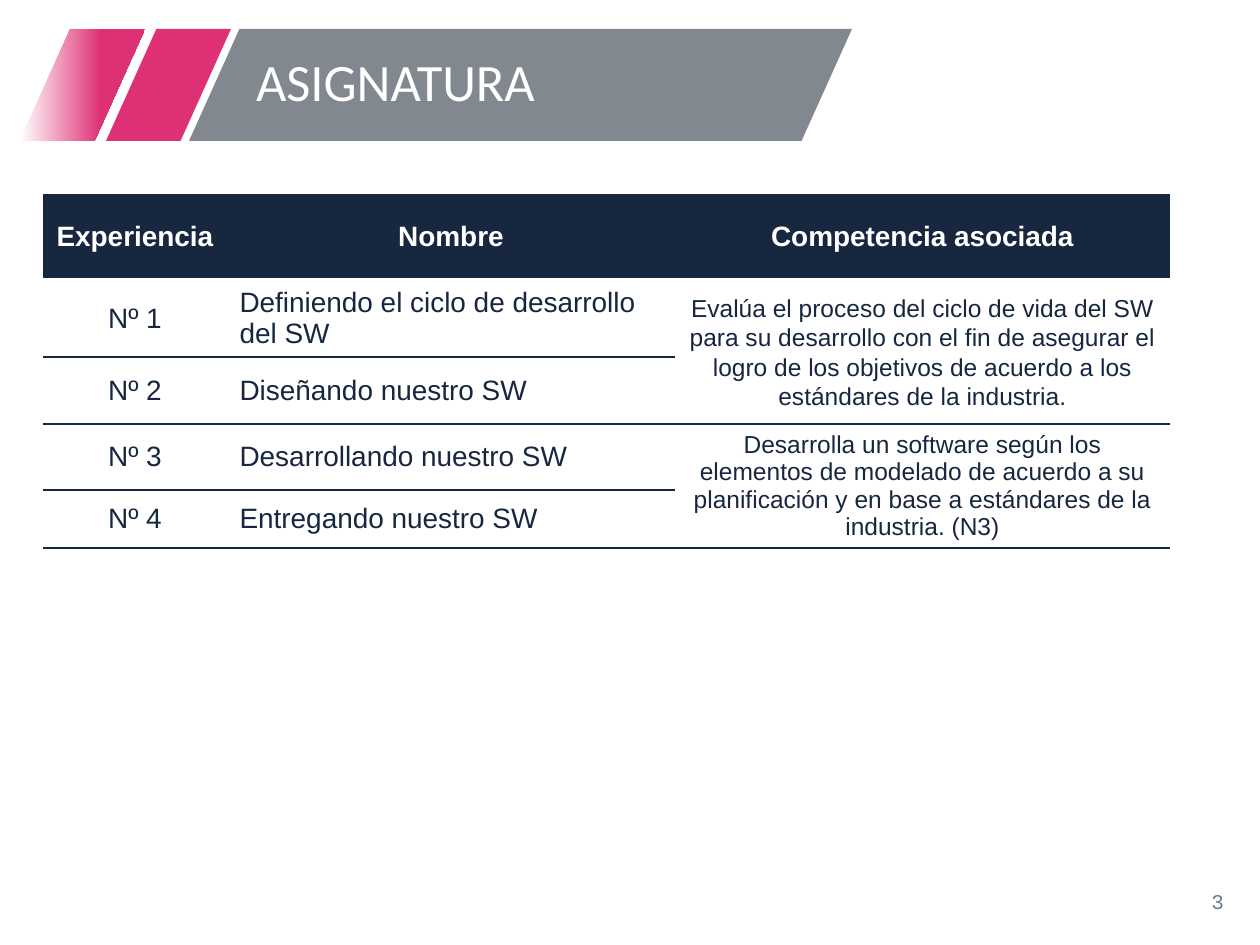
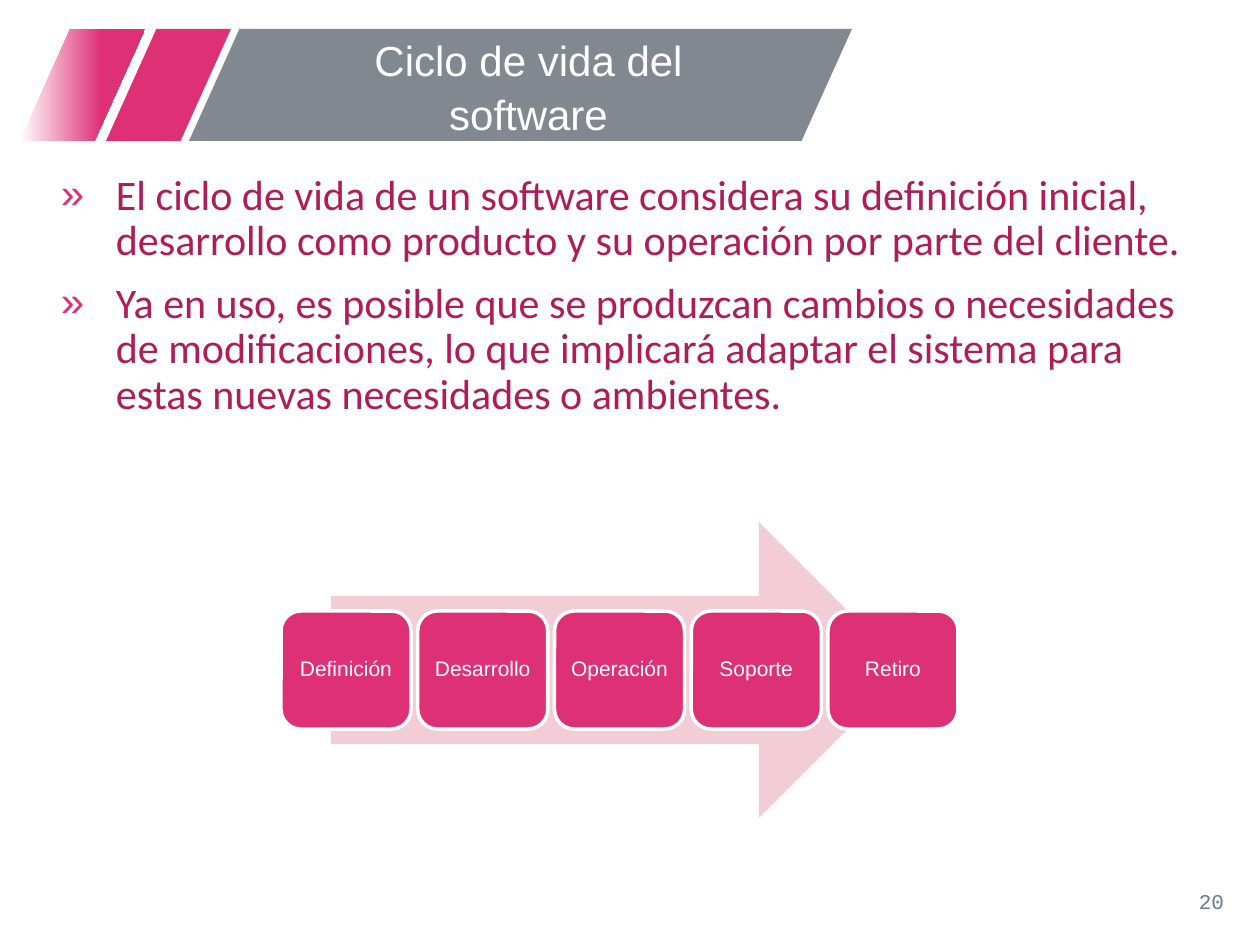
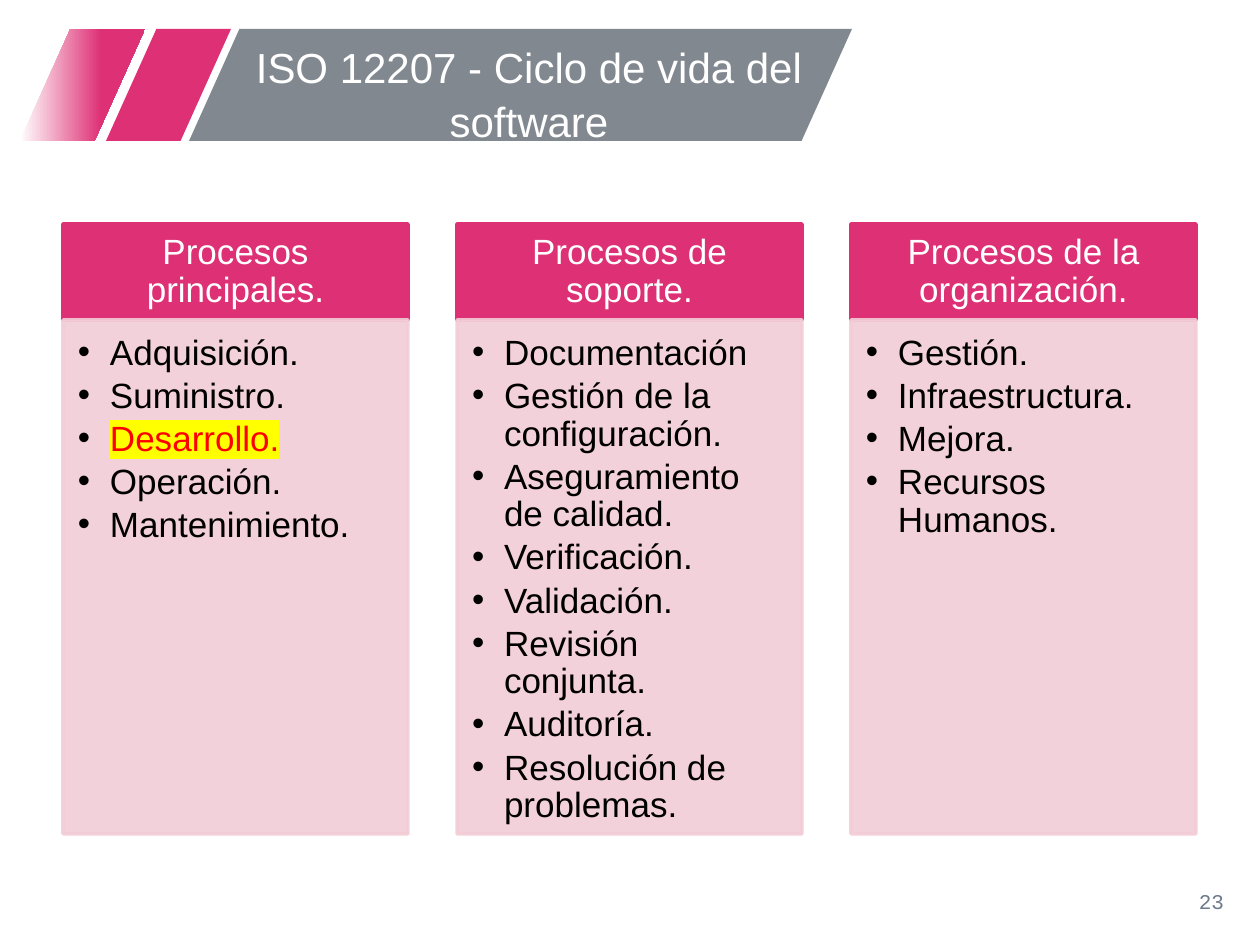
from lxml import etree
from pptx import Presentation
from pptx.dml.color import RGBColor
from pptx.enum.shapes import MSO_SHAPE
from pptx.enum.text import MSO_ANCHOR, MSO_AUTO_SIZE, PP_ALIGN
from pptx.oxml.ns import qn
from pptx.util import Pt

SLANT, ARROW = MSO_SHAPE.PARALLELOGRAM, MSO_SHAPE.RIGHT_ARROW
RECT, ROUND = MSO_SHAPE.RECTANGLE, MSO_SHAPE.ROUNDED_RECTANGLE
TOP, MID = MSO_ANCHOR.TOP, MSO_ANCHOR.MIDDLE
LEFT, MIDDLE, RIGHT = PP_ALIGN.LEFT, PP_ALIGN.CENTER, PP_ALIGN.RIGHT
FIXED = MSO_AUTO_SIZE.NONE
PX = 914400 / 126
NO_STYLE = "{2D5ABB26-0587-4C30-8999-92F81FD0307C}"

HEX = {
    "pink": "DE3075", "pale": "F2CDD6", "wine": "AF1C56", "gray": "81888F",
    "slate": "6C7A8A", "navy": "172740", "white": "FFFFFF", "black": "000000",
    "red": "FF0000", "yellow": "FFFF00",
}

BANDS = [(106, 125, "pink"), (20, 125, None), (189, 663, "gray")]

TITLES = [
    {"text": "ASIGNATURA", "page": "3", "box": (243, 29, 563, 112),
     "anchor": MID, "align": LEFT, "space": 0.9, "size": 30, "name": "Calibri"},
    {"text": "Ciclo de vida del software", "page": "20", "box": (281, 26, 495, 115),
     "anchor": TOP, "align": MIDDLE, "space": 1.06, "size": 24, "name": "Arial"},
    {"text": "ISO 12207 - Ciclo de vida del software", "page": "23",
     "box": (209, 33, 640, 115),
     "anchor": TOP, "align": MIDDLE, "space": 1.06, "size": 24, "name": "Arial"},
]

HEADS = ["Experiencia", "Nombre", "Competencia asociada"]
UNITS = [
    ("Nº 1", "Definiendo el ciclo de desarrollo del SW"),
    ("Nº 2", "Diseñando nuestro SW"),
    ("Nº 3", "Desarrollando nuestro SW"),
    ("Nº 4", "Entregando nuestro SW"),
]
SKILLS = [
    (1, 1.07, "Evalúa el proceso del ciclo de vida del SW para su desarrollo con el "
     "fin de asegurar el logro de los objetivos de acuerdo a los estándares de la "
     "industria."),
    (3, 1.0, "Desarrolla un software según los elementos de modelado de acuerdo a su "
     "planificación y en base a estándares de la industria. (N3)"),
]
COLS = [184, 448, 495]
ROWS = [86, 77, 67, 66, 58]

POINTS = [
    "El ciclo de vida de un software considera su definición inicial, desarrollo "
    "como producto y su operación por parte del cliente.",
    "Ya en uso, es posible que se produzcan cambios o necesidades de "
    "modificaciones, lo que implicará adaptar el sistema para estas nuevas "
    "necesidades o ambientes.",
]
STEPS = ["Definición", "Desarrollo", "Operación", "Soporte", "Retiro"]

GROUPS = {
    "Procesos principales.": [
        "Adquisición.", "Suministro.", "Desarrollo.", "Operación.", "Mantenimiento."],
    "Procesos de soporte.": [
        "Documentación", "Gestión de la configuración.",
        "Aseguramiento de calidad.", "Verificación.", "Validación.",
        "Revisión conjunta.", "Auditoría.", "Resolución de problemas."],
    "Procesos de la organización.": [
        "Gestión.", "Infraestructura.", "Mejora.", "Recursos Humanos."],
}
MARKED = "Desarrollo."


def emu(px):
    return round(px * PX)


def rgb(name):
    return RGBColor.from_string(HEX[name])


def put(obj, **vals):
    for key, val in vals.items():
        setattr(obj, key, val)


def sub(node, tag, **vals):
    return etree.SubElement(node, qn(tag), {k: str(v) for k, v in vals.items()})


def tint(node, name):
    return sub(node, "a:srgbClr", val=HEX[name])


def bullet(para, mark, color, left, hang):
    props = para._p.get_or_add_pPr()
    props.set("marL", str(emu(left)))
    props.set("indent", str(-emu(hang)))
    tint(sub(props, "a:buClr"), color)
    sub(props, "a:buFont", typeface="Arial")
    sub(props, "a:buChar", char=mark)


def write(frame, texts, size, color, name="Arial", align=LEFT, space=1.0,
          gap=0, after=0, bold=False, mark=None):
    for i, text in enumerate(texts):
        para = frame.add_paragraph() if i else frame.paragraphs[0]
        if mark:
            bullet(para, *mark)
        put(para, alignment=align, line_spacing=space,
            space_before=Pt(gap if i else 0), space_after=Pt(after))
        run = para.add_run()
        run.text = text
        put(run.font, size=Pt(size), name=name, bold=bold)
        run.font.color.rgb = rgb(color)


def inset(frame, anchor, sides):
    left, top, right, bottom = map(emu, sides)
    put(frame, word_wrap=True, auto_size=FIXED, vertical_anchor=anchor,
        margin_left=left, margin_top=top, margin_right=right, margin_bottom=bottom)
    return frame


def shape(slide, kind, box, fill, line=None):
    item = slide.shapes.add_shape(kind, *map(emu, box))
    item.shadow.inherit = False
    if fill:
        item.fill.solid()
        item.fill.fore_color.rgb = rgb(fill)
    if line:
        item.line.color.rgb = rgb(line)
        item.line.width = Pt(2)
    else:
        item.line.fill.background()
    return item


def textbox(slide, box, anchor):
    item = slide.shapes.add_textbox(*map(emu, box))
    return inset(item.text_frame, anchor, (13, 6, 13, 6))


def brand(slide, layout):
    for i, (left, width, fill) in enumerate(BANDS):
        band = shape(slide, SLANT, (left, 29, width, 112), fill)
        band.adjustments[0] = 0.45
        if not fill:
            band.fill.gradient()
            band.fill.gradient_angle = 0
            for stop, spot, name in zip(band.fill.gradient_stops, (0, 0.65),
                                        ("white", "pink")):
                stop.position = spot
                stop.color.rgb = rgb(name)
        layout.shapes.element.insert(2 + i, band.element)


def head(slide, data):
    title = slide.shapes.title
    spots = map(emu, data["box"])
    put(title, **dict(zip(("left", "top", "width", "height"), spots)))
    frame = inset(title.text_frame, data["anchor"], (13, 6, 13, 6))
    write(frame, [data["text"]], data["size"], "white", data["name"],
          data["align"], data["space"])
    page = textbox(slide, (953, 876, 284, 50), MID)
    write(page, [data["page"]], 12, "slate", "Courier New", RIGHT)


def rule(cell, color, width):
    line = etree.Element(qn("a:lnB"), w=str(Pt(width)))
    tint(sub(line, "a:solidFill"), color)
    cell._tc.get_or_add_tcPr().insert(0, line)


def course(slide):
    spots = map(emu, (43, 194, sum(COLS), sum(ROWS)))
    table = slide.shapes.add_table(len(ROWS), len(COLS), *spots).table
    put(table, first_row=False, horz_banding=False)
    table._tbl.tblPr.find(qn("a:tableStyleId")).text = NO_STYLE
    for col, width in zip(table.columns, COLS):
        col.width = emu(width)
    for row, height in zip(table.rows, ROWS):
        row.height = emu(height)
    for r, row in enumerate(table.rows):
        for cell in row.cells:
            cell.vertical_anchor = MID
            if r:
                cell.fill.background()
                rule(cell, "navy", 1)
            else:
                cell.fill.solid()
                cell.fill.fore_color.rgb = rgb("navy")
                rule(cell, "white", 2)
    for c, text in enumerate(HEADS):
        write(table.cell(0, c).text_frame, [text], 16, "white",
              align=MIDDLE, bold=True)
    for r, unit in enumerate(UNITS, 1):
        for c, (text, align) in enumerate(zip(unit, (MIDDLE, LEFT))):
            write(table.cell(r, c).text_frame, [text], 16, "navy", align=align)
    for r, space, text in SKILLS:
        cell = table.cell(r, 2)
        cell.merge(table.cell(r + 1, 2))
        write(cell.text_frame, [text], 14, "navy", align=MIDDLE, space=space)


def cycle(slide):
    body = textbox(slide, (40, 168, 1180, 300), TOP)
    write(body, POINTS, 24, "wine", "Calibri", space=0.9, gap=10,
          mark=("»", "pink", 63, 55))
    shape(slide, ARROW, (331, 522, 576, 296), "pale")
    for i, text in enumerate(STEPS):
        left = 281 + 547 * i / (len(STEPS) - 1)
        step = shape(slide, ROUND, (left, 611, 130, 118), "pink", "white")
        write(inset(step.text_frame, MID, (6, 6, 6, 6)), [text], 12, "white",
              align=MIDDLE, space=0.9)


def flag(frame):
    for para in frame.paragraphs:
        for run in para.runs:
            if run.text == MARKED:
                run.font.color.rgb = rgb("red")
                glow = etree.Element(qn("a:highlight"))
                tint(glow, "yellow")
                run._r.rPr.find(qn("a:solidFill")).addnext(glow)


def norm(slide):
    for i, (name, items) in enumerate(GROUPS.items()):
        left = 63 + 394 * i
        top = shape(slide, RECT, (left, 224, 345, 96), "pink", "pink")
        write(inset(top.text_frame, MID, (20, 11, 20, 11)), [name], 20, "white",
              align=MIDDLE, space=0.9)
        body = shape(slide, RECT, (left, 320, 345, 514), "pale", "pale")
        for color in body.element.spPr.iter(qn("a:srgbClr")):
            sub(color, "a:alpha", val=90000)
        frame = inset(body.text_frame, TOP, (15, 15, 20, 21))
        write(frame, items, 20, "black", space=0.9, after=3,
              mark=("•", "black", 32, 32))
        flag(frame)


def main():
    deck = Presentation()
    put(deck, slide_width=emu(1260), slide_height=emu(945))
    layout = deck.slide_layouts[5]
    for i, (data, draw) in enumerate(zip(TITLES, (course, cycle, norm))):
        slide = deck.slides.add_slide(layout)
        if not i:
            brand(slide, layout)
        head(slide, data)
        draw(slide)
    deck.save("out.pptx")


if __name__ == "__main__":
    main()
